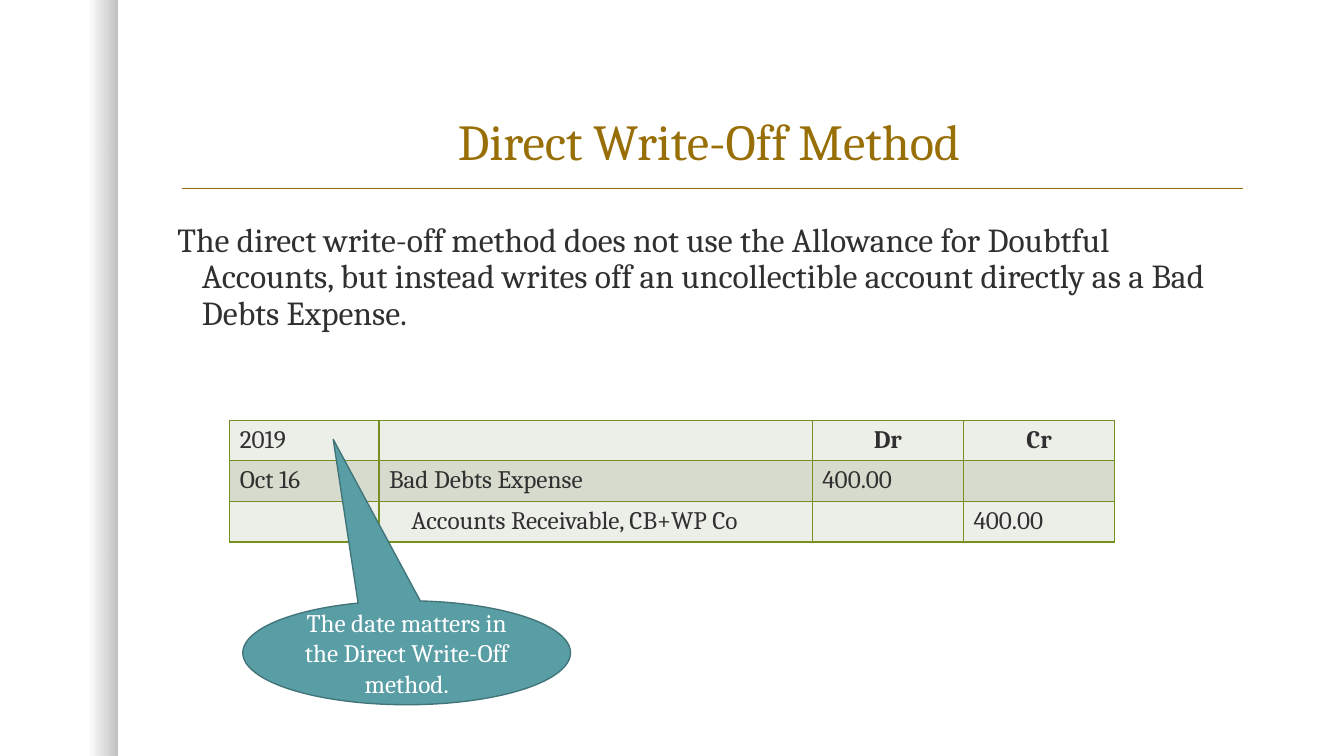
from dataclasses import dataclass

from pptx import Presentation
from pptx.dml.color import RGBColor
from pptx.enum.shapes import MSO_CONNECTOR, MSO_SHAPE
from pptx.enum.text import MSO_ANCHOR, PP_ALIGN
from pptx.oxml import parse_xml
from pptx.oxml.ns import nsdecls, qn
from pptx.oxml.xmlchemy import OxmlElement
from pptx.util import Cm, Pt


@dataclass(frozen=True)
class Theme:
    font: str = "Cambria"
    gold: str = "986F07"
    ink: str = "303030"
    white: str = "FFFFFF"
    shade: str = "000000"
    teal: str = "599EA5"
    teal_edge: str = "42757A"
    grid: str = "758F21"
    bands: tuple = ("ECEEE8", "D6DBCD")
    title_size: int = 36
    body_size: int = 24
    small_size: int = 18


@dataclass(frozen=True)
class Box:
    """A region of the slide, in centimetres."""
    left: float
    top: float
    width: float
    height: float

    def lengths(self):
        return Cm(self.left), Cm(self.top), Cm(self.width), Cm(self.height)


THEME = Theme()
ENTRIES = [
    ("2019", "", "Dr", "Cr"),
    ("Oct 16", "Bad Debts Expense", "400.00", ""),
    ("", "Accounts Receivable, CB+WP Co", "", "400.00"),
]
COLUMN_WIDTHS = (3.76, 10.92, 3.81, 3.81)


def write(frame, text, size, color, align=PP_ALIGN.LEFT, bold=False):
    frame.text = text
    paragraph = frame.paragraphs[0]
    paragraph.alignment = align
    for run in paragraph.runs:
        run.font.name = THEME.font
        run.font.size = Pt(size)
        run.font.bold = bold
        run.font.color.rgb = RGBColor.from_string(color)
    return paragraph


def add_edge_shadow(slide, box):
    """Fade from clear to grey along the left edge of the page."""
    band = slide.shapes.add_shape(MSO_SHAPE.RECTANGLE, *box.lengths())
    band.shadow.inherit = False
    band.line.fill.background()
    band.fill.gradient()
    band.fill.gradient_angle = 0
    for stop, position, opacity in zip(band.fill.gradient_stops, (0.75, 1), (0, 25)):
        stop.position = position
        stop.color.rgb = RGBColor.from_string(THEME.shade)
    for color, opacity in zip(band._element.spPr.iter(qn("a:srgbClr")), (0, 25)):
        alpha = OxmlElement("a:alpha")
        alpha.set("val", str(opacity * 1000))
        color.append(alpha)


def add_heading(slide, box):
    """Title with a thin rule beneath it."""
    title = slide.shapes.title
    title.left, title.top, title.width, title.height = box.lengths()
    frame = title.text_frame
    frame.word_wrap = True
    frame.vertical_anchor = MSO_ANCHOR.BOTTOM
    heading = write(frame, "Direct Write-Off Method", THEME.title_size,
                    THEME.gold, PP_ALIGN.CENTER)
    heading.line_spacing = 0.9

    rule_left, rule_top = Cm(box.left + 0.38), Cm(box.top + box.height + 0.3)
    rule = slide.shapes.add_connector(
        MSO_CONNECTOR.STRAIGHT, rule_left, rule_top,
        rule_left + Cm(26.72), rule_top)
    rule.line.color.rgb = RGBColor.from_string(THEME.gold)
    rule.line.width = Pt(1)
    rule._element.spPr.append(OxmlElement("a:effectLst"))


def add_explanation(slide, box):
    frame = slide.shapes.add_textbox(*box.lengths()).text_frame
    frame.word_wrap = True
    explanation = write(
        frame,
        "The direct write-off method does not use the Allowance for Doubtful "
        "Accounts, but instead writes off an uncollectible account directly "
        "as a Bad Debts Expense.",
        THEME.body_size, THEME.ink)
    explanation.line_spacing = 0.9
    explanation.space_before = Pt(18)
    indent = explanation._p.get_or_add_pPr()
    indent.set("marL", str(Cm(0.62)))
    indent.set("indent", str(-Cm(0.62)))


def border_cell(cell):
    properties = cell._tc.get_or_add_tcPr()
    for position, side in enumerate(("lnL", "lnR", "lnT", "lnB")):
        properties.insert(position, parse_xml(
            f'<a:{side} {nsdecls("a")} w="{Pt(1)}"><a:solidFill>'
            f'<a:srgbClr val="{THEME.grid}"/></a:solidFill></a:{side}>'))


def add_journal(slide, box):
    """Journal entry table; credited accounts are indented."""
    journal = slide.shapes.add_table(
        len(ENTRIES), len(COLUMN_WIDTHS), *box.lengths()).table
    journal.first_row = journal.horz_banding = False
    for column, width in zip(journal.columns, COLUMN_WIDTHS):
        column.width = Cm(width)
    for row_index, entry in enumerate(ENTRIES):
        journal.rows[row_index].height = Cm(box.height / len(ENTRIES))
        for column_index, text in enumerate(entry):
            cell = journal.cell(row_index, column_index)
            cell.fill.solid()
            cell.fill.fore_color.rgb = RGBColor.from_string(
                THEME.bands[row_index % 2])
            border_cell(cell)
            is_heading = text in ("Dr", "Cr")
            entry_line = write(
                cell.text_frame, text, THEME.small_size, THEME.ink,
                PP_ALIGN.CENTER if is_heading else PP_ALIGN.LEFT, is_heading)
            entry_line.font.size = Pt(THEME.small_size)
            if text.startswith("Accounts Receivable"):
                cell.margin_left = Cm(0.82)


def add_date_callout(slide, box):
    callout = slide.shapes.add_shape(
        MSO_SHAPE.OVAL_CALLOUT, *box.lengths())
    callout.adjustments[0] = -0.224
    callout.adjustments[1] = -2.053
    callout.shadow.inherit = False
    callout.fill.solid()
    callout.fill.fore_color.rgb = RGBColor.from_string(THEME.teal)
    callout.line.color.rgb = RGBColor.from_string(THEME.teal_edge)
    callout.line.width = Pt(1)
    frame = callout.text_frame
    frame.word_wrap = True
    frame.vertical_anchor = MSO_ANCHOR.MIDDLE
    write(frame, "The date matters in the Direct Write-Off method.",
          THEME.small_size, THEME.white, PP_ALIGN.CENTER)


def main():
    presentation = Presentation()
    presentation.slide_width, presentation.slide_height = Cm(33.87), Cm(19.05)
    slide = presentation.slides.add_slide(presentation.slide_layouts[5])
    add_edge_shadow(slide, Box(0, 0, 2.95, 19.05))
    add_heading(slide, Box(4.22, 1.07, 27.3, 3.38))
    add_explanation(slide, Box(4.22, 5.51, 27.3, 3.61))
    add_journal(slide, Box(5.79, 10.59, sum(COLUMN_WIDTHS), 3.07))
    add_date_callout(slide, Box(6.12, 15.14, 8.26, 2.62))
    presentation.save("out.pptx")


if __name__ == "__main__":
    main()
